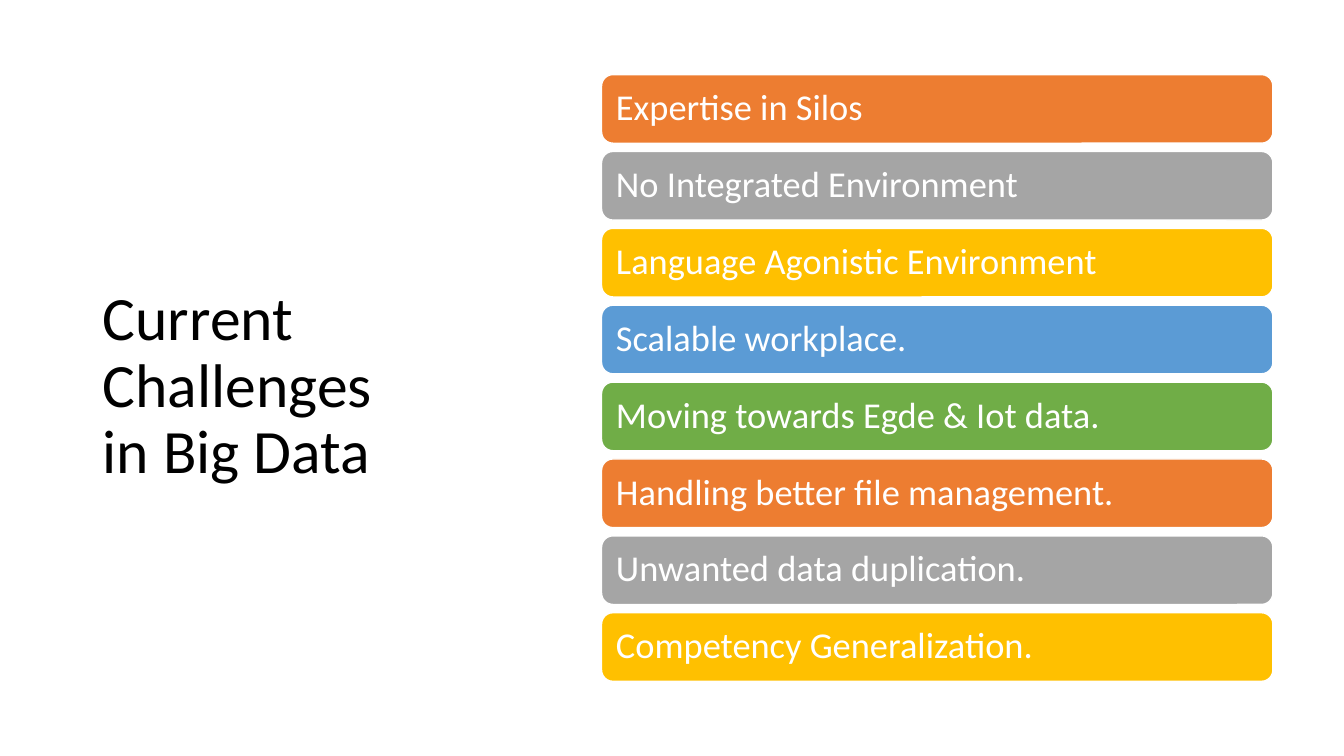
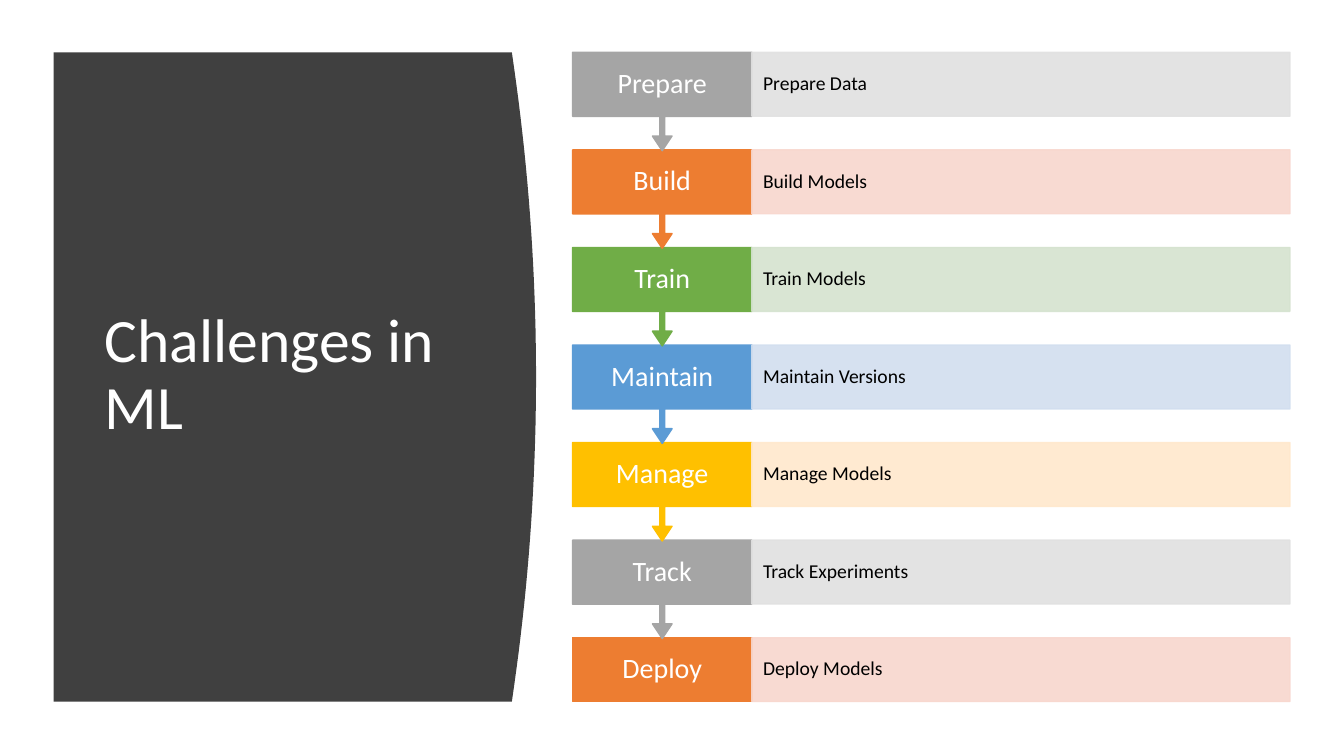
from itertools import cycle

from lxml import etree
from pptx import Presentation
from pptx.dml.color import RGBColor
from pptx.enum.shapes import MSO_SHAPE as SHAPE
from pptx.enum.text import MSO_ANCHOR as ANCHOR, MSO_AUTO_SIZE as AUTO_SIZE, PP_ALIGN as ALIGN
from pptx.oxml.ns import qn
from pptx.util import Cm, Pt

BIG_DATA_TITLE = "Current Challenges\vin Big Data"
BIG_DATA = [
    "Expertise in Silos",
    "No Integrated Environment",
    "Language Agonistic Environment",
    "Scalable workplace.",
    "Moving towards Egde & Iot data.",
    "Handling better file management.",
    "Unwanted data duplication.",
    "Competency Generalization.",
]
ML_TITLE = "Challenges in ML"
ML_STEPS = [
    ("Prepare", "Prepare Data"),
    ("Build", "Build Models"),
    ("Train", "Train Models"),
    ("Maintain", "Maintain Versions"),
    ("Manage", "Manage Models"),
    ("Track", "Track Experiments"),
    ("Deploy", "Deploy Models"),
]

FONT = "Calibri"
COLORS = {
    "white": "FFFFFF", "black": "000000", "panel": "404040",
    "orange": "ED7D31", "gray": "A5A5A5", "gold": "FFC000",
    "blue": "5B9BD5", "green": "70AD47",
    "orange tint": "F8D7CE", "gray tint": "E1E1E1", "gold tint": "FFE8CC",
    "blue tint": "D2DEEF", "green tint": "D5E3CF",
}
PILL_CYCLE = ["orange", "gray", "gold", "blue", "green"]
STEP_CYCLE = ["gray", "orange", "green", "blue", "gold"]

# All lengths below are in centimetres.
PILLS = {"left": 15.16, "top": 1.88, "width": 16.92, "height": 15.29, "row": 1.73}
PANEL = {"left": 1.35, "top": 1.32, "edge": 12.9, "bulge": 0.61, "height": 16.36}
STEPS = {"left": 14.43, "width": 4.52, "detail width": 13.56, "row": 1.61, "callout": 2.48}
CALLOUT_ADJUSTMENTS = (0.05, 0.1, 0.15, 0.65)


def rgb(name):
    return RGBColor.from_string(COLORS[name])


def row_tops(top, height, row, count):
    """Tops of equal rows that fill the height with equal gaps."""
    pitch = (height - row) / (count - 1)
    return [top + i * pitch for i in range(count)]


def write(shape, text, size, color="white", align=ALIGN.LEFT, inset=0.25):
    tf = shape.text_frame
    tf.word_wrap = True
    tf.auto_size = AUTO_SIZE.NONE
    tf.vertical_anchor = ANCHOR.MIDDLE
    tf.margin_left = tf.margin_right = Cm(inset)
    tf.margin_top = tf.margin_bottom = 0
    p = tf.paragraphs[0]
    p.text = text
    p.alignment = align
    p.line_spacing = 0.9
    for r in p.runs:
        r.font.name, r.font.size = FONT, Pt(size)
        r.font.color.rgb = rgb(color)


def set_opacity(color_format_parent, percent):
    for color in color_format_parent.iter(qn("a:srgbClr")):
        etree.SubElement(color, qn("a:alpha")).set("val", str(percent * 1000))


def add_box(s, kind, left, top, width, height, fill, line=None, opacity=100):
    sp = s.shapes.add_shape(kind, Cm(left), Cm(top), Cm(width), Cm(height))
    sp.shadow.inherit = False
    sp.fill.solid()
    sp.fill.fore_color.rgb = rgb(fill)
    sp.line.color.rgb = rgb(line or fill)
    sp.line.width = Pt(1)
    if opacity < 100:
        set_opacity(sp.element.spPr, opacity)
    return sp


def add_title(s, text, left, top, width, height, color):
    title = s.shapes.title
    title.left, title.top = Cm(left), Cm(top)
    title.width, title.height = Cm(width), Cm(height)
    write(title, text, 44, color)


def add_curved_panel(s):
    """Dark panel whose right edge bows outwards."""
    left, top, edge, height = (PANEL[k] for k in ("left", "top", "edge", "height"))
    count = 40
    curve = []
    for i in range(count + 1):
        t = 2 * i / count - 1
        x = edge + PANEL["bulge"] * (1 - t * t)
        curve.append((Cm(x), Cm(top + height * i / count)))
    builder = s.shapes.build_freeform(Cm(left), Cm(top))
    builder.add_line_segments(curve + [(Cm(left), Cm(top + height))], close=True)
    panel = builder.convert_to_shape()
    panel.shadow.inherit = False
    panel.fill.solid()
    panel.fill.fore_color.rgb = rgb("panel")
    panel.line.fill.background()


def build_big_data(s):
    add_title(s, BIG_DATA_TITLE, 2.34, 2.26, 10.67, 15.01, "black")
    tops = row_tops(PILLS["top"], PILLS["height"], PILLS["row"], len(BIG_DATA))
    for text, top, color in zip(BIG_DATA, tops, cycle(PILL_CYCLE)):
        pill = add_box(s, SHAPE.ROUNDED_RECTANGLE, PILLS["left"], top,
                       PILLS["width"], PILLS["row"], color, line="white")
        write(pill, text, 26, inset=0.28)


def build_ml(s):
    add_curved_panel(s)
    title = s.shapes.title
    s.shapes.element.append(title.element)  # bring the title in front of the panel
    add_title(s, ML_TITLE, 2.39, 2.82, 9.5, 13.31, "white")
    tops = row_tops(PANEL["top"], PANEL["height"], STEPS["row"], len(ML_STEPS))
    rows = list(zip(ML_STEPS, tops, cycle(STEP_CYCLE)))
    # Bottom row first, so that each arrow tip lies over the next box.
    for (name, detail), top, color in reversed(rows):
        if top == tops[-1]:
            step = add_box(s, SHAPE.RECTANGLE, STEPS["left"], top,
                           STEPS["width"], STEPS["row"], color)
        else:
            step = add_box(s, SHAPE.DOWN_ARROW_CALLOUT, STEPS["left"], top,
                           STEPS["width"], STEPS["callout"], color)
            for i, value in enumerate(CALLOUT_ADJUSTMENTS):
                step.adjustments[i] = value
        write(step, name, 20, align=ALIGN.CENTER, inset=0.33)
        bar = add_box(s, SHAPE.RECTANGLE, STEPS["left"] + STEPS["width"], top,
                      STEPS["detail width"], STEPS["row"], f"{color} tint", opacity=90)
        write(bar, detail, 14, "black", inset=0.28)


def main():
    prs = Presentation()
    prs.slide_width, prs.slide_height = Cm(33.87), Cm(19.05)
    title_only = prs.slide_layouts[5]
    for build in (build_big_data, build_ml):
        build(prs.slides.add_slide(title_only))
    prs.save("out.pptx")


if __name__ == "__main__":
    main()
